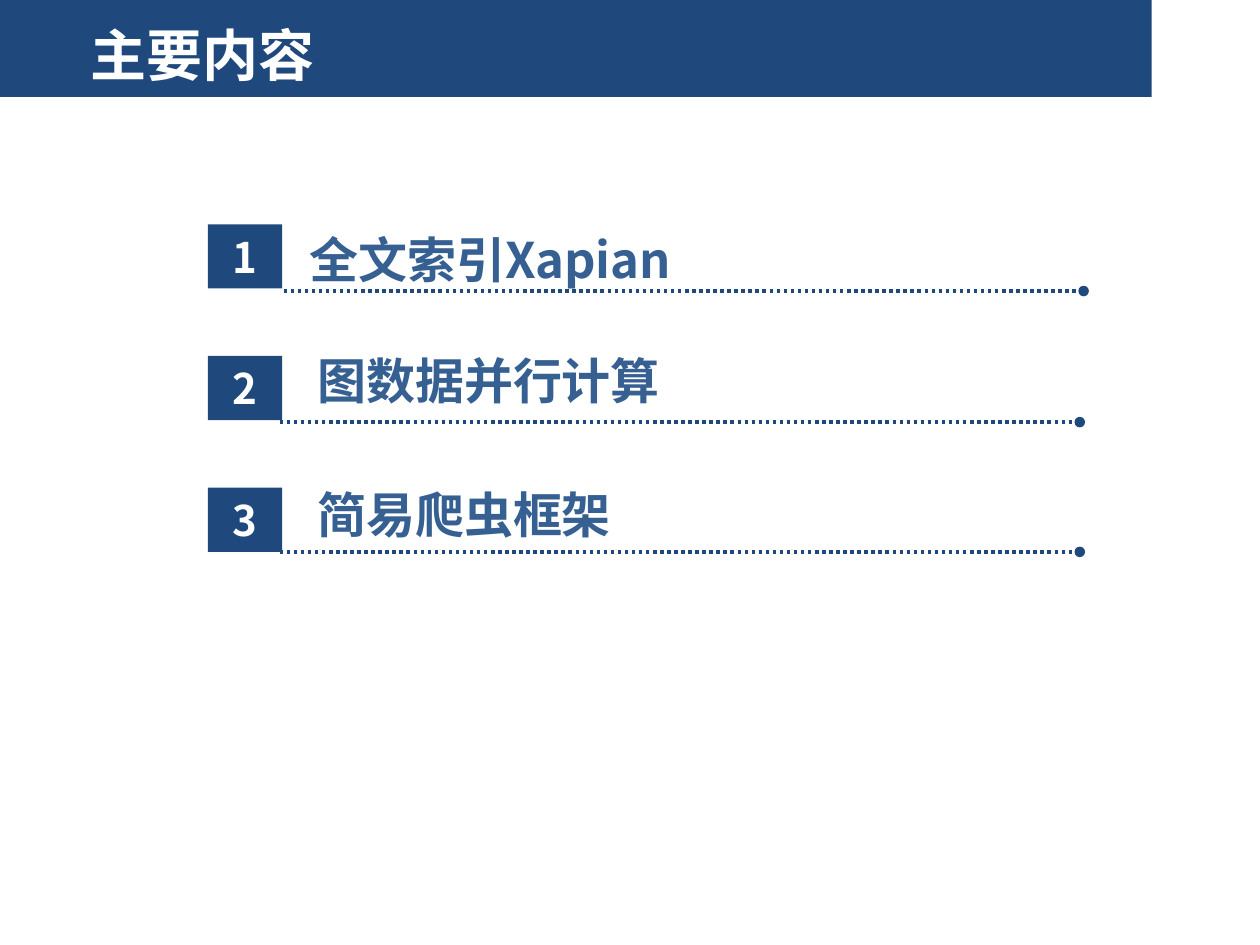
from lxml.etree import SubElement
from pptx import Presentation
from pptx.dml.color import RGBColor
from pptx.enum.dml import MSO_LINE
from pptx.enum.shapes import MSO_CONNECTOR, MSO_SHAPE
from pptx.enum.text import MSO_ANCHOR as ANCHOR, PP_ALIGN as ALIGN
from pptx.oxml.ns import qn
from pptx.util import Inches, Pt

# Content: topic, text left and top, rule left and height
TITLE = "主要内容"
TOPICS = [
    ("全文索引Xapian", 2.36, 1.77, 2.25, 2.31),
    ("图数据并行计算", 2.42, 2.73, 2.22, 3.35),
    ("简易爬虫框架", 2.42, 3.8, 2.22, 4.38),
]

COLORS = {"navy": "1F497D", "blue": "376092", "white": "FFFFFF"}
FONT = "Noto Sans CJK SC"
BADGE_LEFT, BADGE_TOP, BADGE_STEP = 1.65, 1.78, 1.045
BADGE_SIZE = (0.59, 0.51)
TOPIC_SIZE = (6.15, 0.57)
RULE_LENGTH = 6.35


def color(name):
    return RGBColor.from_string(COLORS[name])


def write(shape, text, size, ink, align=ALIGN.LEFT, anchor=ANCHOR.TOP):
    frame = shape.text_frame
    frame.word_wrap = True
    frame.vertical_anchor = anchor
    paragraph = frame.paragraphs[0]
    paragraph.alignment = align
    run = paragraph.add_run()
    run.text = text
    for key, value in {"name": FONT, "size": Pt(size), "bold": True}.items():
        setattr(run.font, key, value)
    run.font.color.rgb = color(ink)
    SubElement(run.font._element, qn("a:ea"), typeface=FONT)


def add_block(slide, left, top, width, height):
    block = slide.shapes.add_shape(
        MSO_SHAPE.RECTANGLE, Inches(left), Inches(top), Inches(width), Inches(height))
    block.shadow.inherit = False
    block.fill.solid()
    block.fill.fore_color.rgb = color("navy")
    block.line.fill.background()
    return block


def add_rule(slide, left, y):
    rule = slide.shapes.add_connector(
        MSO_CONNECTOR.STRAIGHT, Inches(left), Inches(y), Inches(left + RULE_LENGTH), Inches(y))
    rule.line.color.rgb = color("navy")
    rule.line.width = Pt(2)
    rule.line.dash_style = MSO_LINE.ROUND_DOT  # written as sysDot
    SubElement(rule.line._get_or_add_ln(), qn("a:tailEnd"), type="oval")
    SubElement(rule._element.spPr, qn("a:effectLst"))


def main():
    deck = Presentation()
    deck.slide_width, deck.slide_height = Inches(10), Inches(7.5)
    slide = deck.slides.add_slide(deck.slide_layouts[5])

    # Title on its band
    band = add_block(slide, 0, 0, 9.14, 0.77)
    title = slide.shapes.title
    title._element.addprevious(band._element)
    place = {"left": 0.62, "top": 0.08, "width": 8.52, "height": 0.7}
    for key, value in place.items():
        setattr(title, key, Inches(value))
    write(title, TITLE, 32, "white", anchor=ANCHOR.MIDDLE)

    # Numbered topics with dotted rules
    for index, (topic, left, top, rule_left, rule_y) in enumerate(TOPICS):
        badge = add_block(slide, BADGE_LEFT, BADGE_TOP + index * BADGE_STEP, *BADGE_SIZE)
        write(badge, str(index + 1), 24, "white", ALIGN.CENTER, ANCHOR.MIDDLE)
        add_rule(slide, rule_left, rule_y)
        label = slide.shapes.add_textbox(
            Inches(left), Inches(top), *map(Inches, TOPIC_SIZE))
        write(label, topic, 28, "blue")

    deck.save("out.pptx")


if __name__ == "__main__":
    main()
